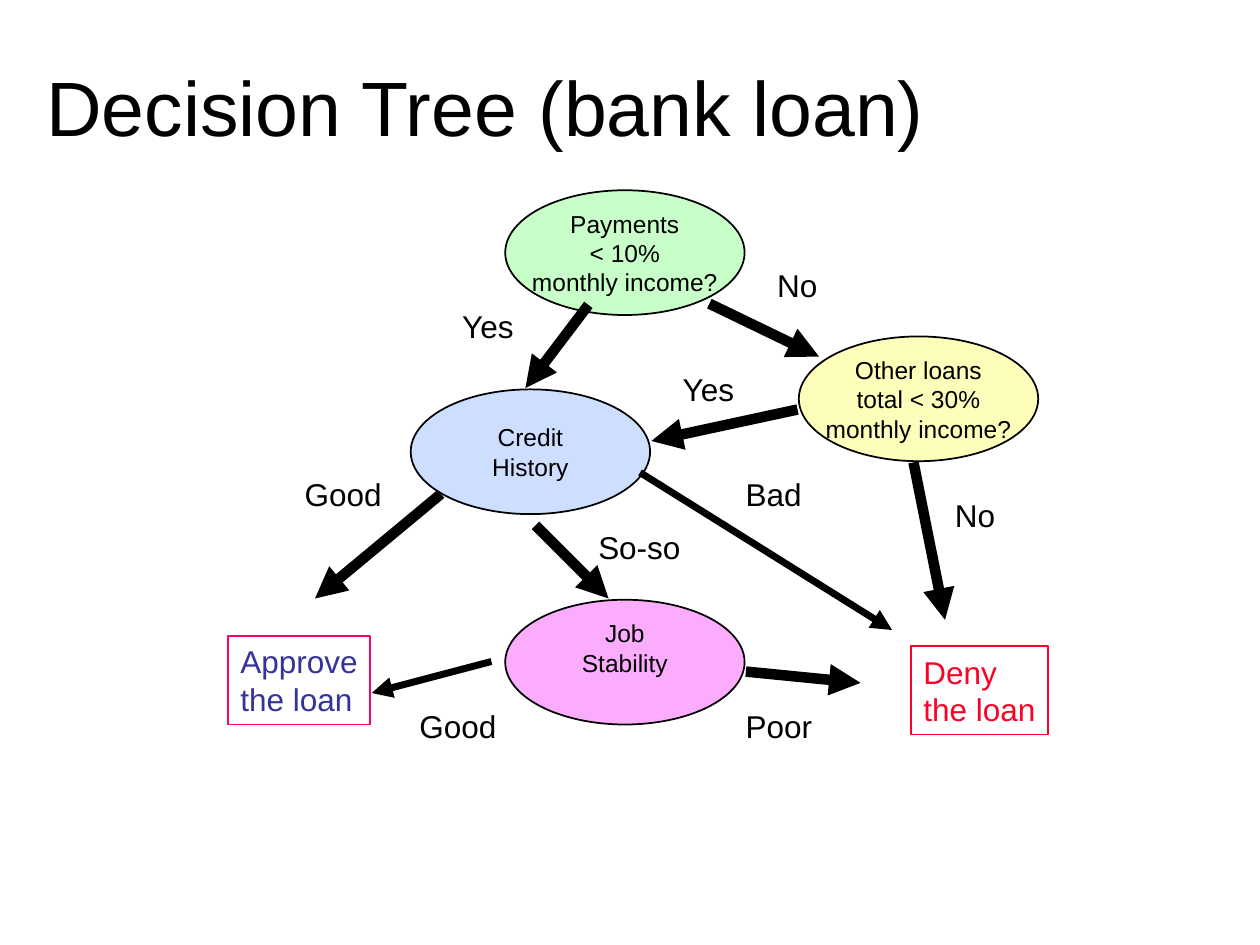
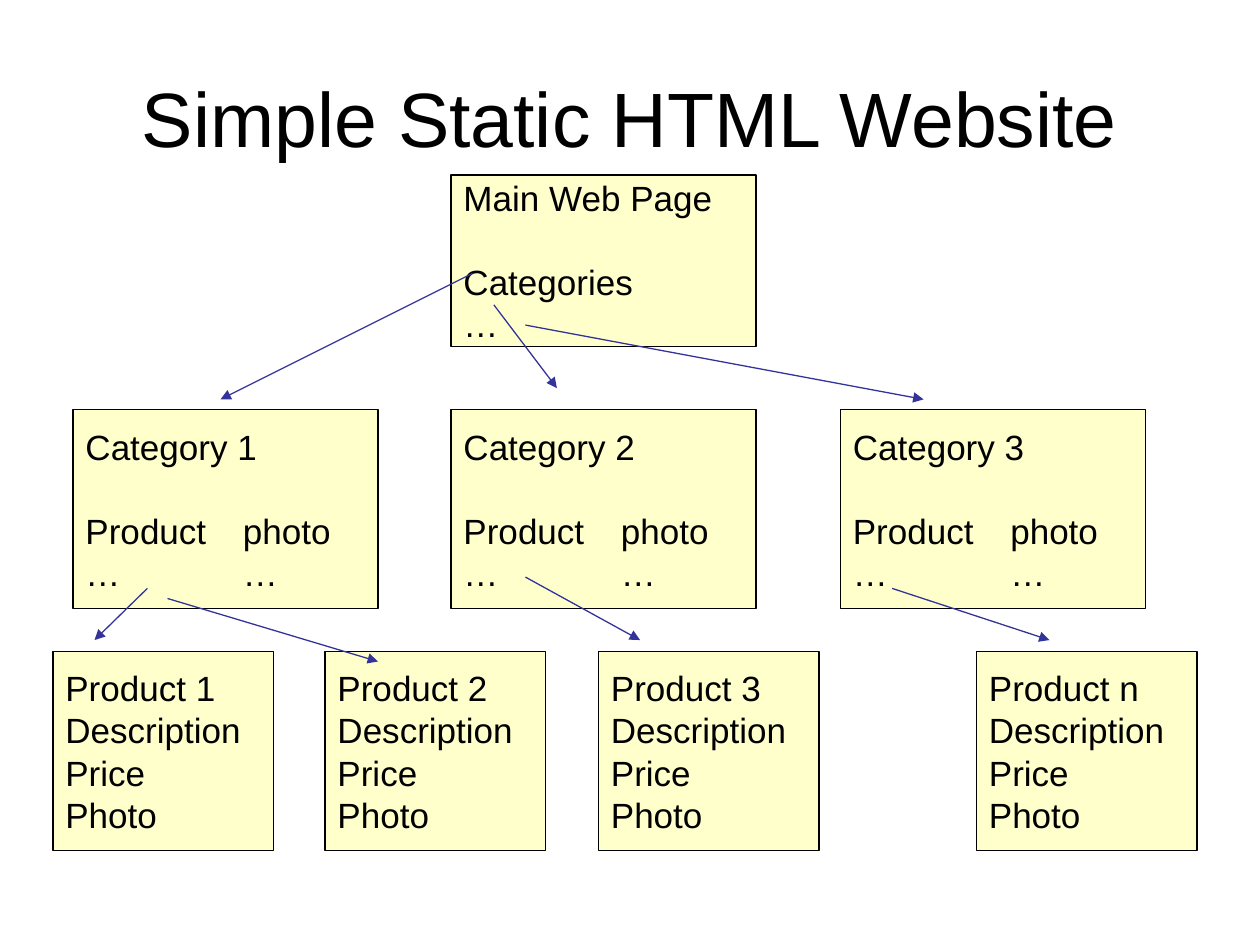
from dataclasses import dataclass

from lxml.etree import SubElement
from pptx import Presentation
from pptx.dml.color import RGBColor
from pptx.enum.shapes import MSO_CONNECTOR, MSO_SHAPE
from pptx.enum.text import MSO_ANCHOR, MSO_AUTO_SIZE, PP_ALIGN
from pptx.oxml.ns import qn
from pptx.util import Inches, Pt


@dataclass(frozen=True)
class Theme:
    font: str = "Arial"
    ink: str = "000000"
    link: str = "333399"
    approve_border: str = "FF0066"
    deny: str = "FC0128"
    payments: str = "C8FEC8"
    other_loans: str = "FCFEB9"
    credit: str = "CEDEFF"
    job: str = "FCACFC"
    page: str = "FFFFCC"
    title_size: int = 44
    page_size: int = 20
    label_size: int = 18
    question_size: int = 14


THEME = Theme()
QUESTION_SIZE = (1.9, 0.99)
CATEGORY_SIZE = (2.42, 1.58)
PRODUCT_SIZE = (1.75, 1.58)
SKIPPED_LINE = Pt(24)


def apply(target, formats):
    for attribute, value in formats.items():
        setattr(target, attribute, value)


def write(shape, lines, size, color=THEME.ink, align=PP_ALIGN.LEFT, **frame_formats):
    frame = shape.text_frame
    apply(frame, {
        "word_wrap": False,
        "vertical_anchor": MSO_ANCHOR.TOP,
        "margin_left": Inches(0.1),
        "margin_right": Inches(0.1),
        "margin_top": Inches(0.05),
        "margin_bottom": Inches(0.05),
        **frame_formats,
    })
    for number, line in enumerate(lines):
        paragraph = frame.add_paragraph() if number else frame.paragraphs[0]
        paragraph.alignment = align
        run = paragraph.add_run()
        run.text = line
        apply(run.font, {"name": THEME.font, "size": Pt(size)})
        run.font.color.rgb = RGBColor.from_string(color)
    return frame.paragraphs


def add_outlined(slide, preset, place, size, border, border_width, fill=None):
    shape = slide.shapes.add_shape(preset, *map(Inches, place + size))
    shape.shadow.inherit = False
    if fill:
        shape.fill.solid()
        shape.fill.fore_color.rgb = RGBColor.from_string(fill)
    else:
        shape.fill.background()
    shape.line.color.rgb = RGBColor.from_string(border)
    shape.line.width = Pt(border_width)
    return shape


def add_title(slide, title, place, align):
    box = slide.shapes.add_textbox(*map(Inches, place + (9, 1.25)))
    write(box, [title], THEME.title_size, align=align,
          word_wrap=True, vertical_anchor=MSO_ANCHOR.MIDDLE)


def add_question(slide, lines, place, fill, bottom=0.05):
    ellipse = add_outlined(slide, MSO_SHAPE.OVAL, place, QUESTION_SIZE, THEME.ink, 1, fill)
    write(ellipse, lines, THEME.question_size, align=PP_ALIGN.CENTER,
          vertical_anchor=MSO_ANCHOR.MIDDLE, margin_bottom=Inches(bottom))


def add_outcome(slide, verdict, place, size, border, color):
    box = add_outlined(slide, MSO_SHAPE.RECTANGLE, place, size, border, 1)
    write(box, [verdict, "the loan"], THEME.label_size, color,
          auto_size=MSO_AUTO_SIZE.SHAPE_TO_FIT_TEXT)


def add_answer(slide, answer, left, top, width):
    box = slide.shapes.add_textbox(*map(Inches, (left, top, width, 0.4)))
    write(box, [answer], THEME.label_size, auto_size=MSO_AUTO_SIZE.SHAPE_TO_FIT_TEXT)


def add_page(slide, lines, place, size):
    box = add_outlined(slide, MSO_SHAPE.RECTANGLE, place, size, THEME.ink, 0.75, THEME.page)
    return write(box, lines, THEME.page_size,
                 word_wrap=True, vertical_anchor=MSO_ANCHOR.MIDDLE)


def add_category(slide, number, left):
    lines = [f"Category {number}", "Product\tphoto", "…\t…"]
    paragraphs = add_page(slide, lines, (left, 3.25), CATEGORY_SIZE)
    paragraphs[1].space_before = SKIPPED_LINE
    for paragraph in paragraphs[1:]:
        tabs = SubElement(paragraph._p.get_or_add_pPr(), qn("a:tabLst"))
        SubElement(tabs, qn("a:tab"), pos=str(Inches(1.25)), algn="l")


def add_arrow(slide, start, end, color, width):
    arrow = slide.shapes.add_connector(MSO_CONNECTOR.STRAIGHT, *map(Inches, start + end))
    arrow.line.color.rgb = RGBColor.from_string(color)
    arrow.line.width = Pt(width)
    SubElement(arrow.line._get_or_add_ln(), qn("a:tailEnd"), type="triangle")
    SubElement(arrow._element.spPr, qn("a:effectLst"))


def build_loan_tree(slide):
    income = "monthly income?"
    add_question(slide, ["Payments", "< 10%", income], (4.01, 1.51), THEME.payments)
    add_question(slide, ["Other loans", "total < 30%", income], (6.34, 2.67), THEME.other_loans)
    add_question(slide, ["Credit", "History"], (3.26, 3.09), THEME.credit)
    add_question(slide, ["Job", "Stability"], (4.01, 4.76), THEME.job, bottom=0.28)

    for start, end, width in [
        ((5.63, 2.41), (6.5, 2.83), 6),
        ((4.67, 2.42), (4.17, 3.08), 6),
        ((4.25, 4.17), (4.83, 4.75), 6),
        ((6.33, 3.25), (5.17, 3.5), 6),
        ((3.5, 3.92), (2.5, 4.75), 6),
        ((7.25, 3.67), (7.5, 4.92), 6),
        ((5.92, 5.33), (6.83, 5.42), 6),
        ((5.08, 3.75), (7.08, 5), 4),
        ((3.9, 5.25), (2.95, 5.5), 4),
    ]:
        add_arrow(slide, start, end, THEME.ink, width)

    add_outcome(slide, "Approve", (1.81, 5.05), (1.13, 0.7), THEME.approve_border, THEME.link)
    add_outcome(slide, "Deny", (7.23, 5.13), (1.09, 0.7), THEME.deny, THEME.deny)

    for answer, left, top, width in [
        ("No", 6.07, 2.06, 0.52),
        ("Yes", 3.57, 2.39, 0.63),
        ("Good", 2.32, 3.72, 0.81),
        ("Yes", 5.32, 2.89, 0.63),
        ("No", 7.48, 3.89, 0.52),
        ("Bad", 5.82, 3.72, 0.65),
        ("So-so", 4.65, 4.14, 0.86),
        ("Good", 3.23, 5.56, 0.81),
        ("Poor", 5.82, 5.56, 0.73),
    ]:
        add_answer(slide, answer, left, top, width)

    add_title(slide, "Decision Tree (bank loan)", (0.27, 0.21), PP_ALIGN.LEFT)


def build_website(slide):
    add_title(slide, "Simple Static HTML Website", (0.5, 0.3), PP_ALIGN.CENTER)

    main_page = add_page(slide, ["Main Web Page", "Categories", "…"], (3.58, 1.39), (2.42, 1.36))
    main_page[1].space_before = SKIPPED_LINE

    for number, left in enumerate((0.58, 3.58, 6.67), 1):
        add_category(slide, number, left)

    for product, left in zip("123n", (0.42, 2.58, 4.75, 7.75)):
        lines = [f"Product {product}", "Description", "Price", "Photo"]
        add_page(slide, lines, (left, 5.17), PRODUCT_SIZE)

    for start, end in [
        ((3.75, 2.17), (1.75, 3.17)),
        ((3.92, 2.42), (4.42, 3.08)),
        ((4.17, 2.58), (7.33, 3.17)),
        ((1.17, 4.67), (0.75, 5.08)),
        ((1.33, 4.75), (3, 5.25)),
        ((4.17, 4.58), (5.08, 5.08)),
        ((7.08, 4.67), (8.33, 5.08)),
    ]:
        add_arrow(slide, start, end, THEME.link, 0.75)


def main():
    presentation = Presentation()
    apply(presentation, {"slide_width": Inches(10), "slide_height": Inches(7.5)})
    blank = presentation.slide_layouts[6]
    for build in (build_loan_tree, build_website):
        build(presentation.slides.add_slide(blank))
    presentation.save("out.pptx")


if __name__ == "__main__":
    main()
